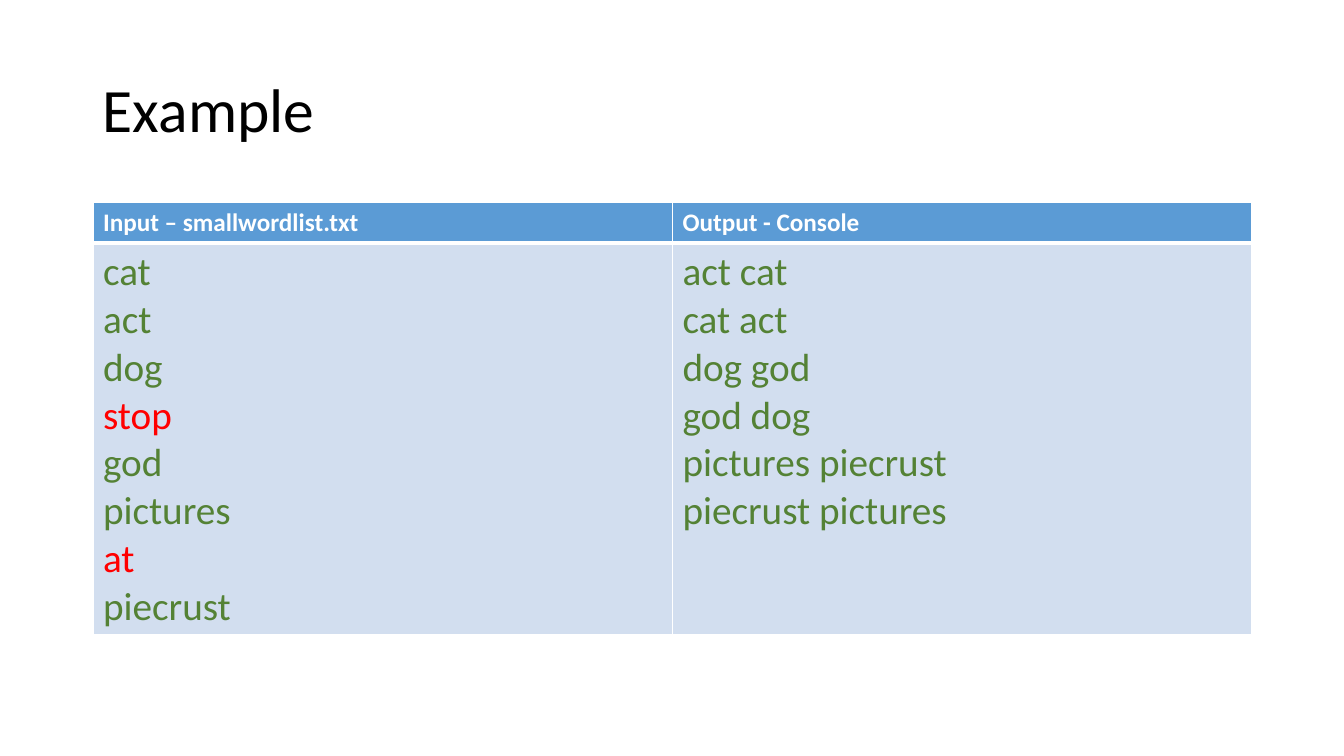
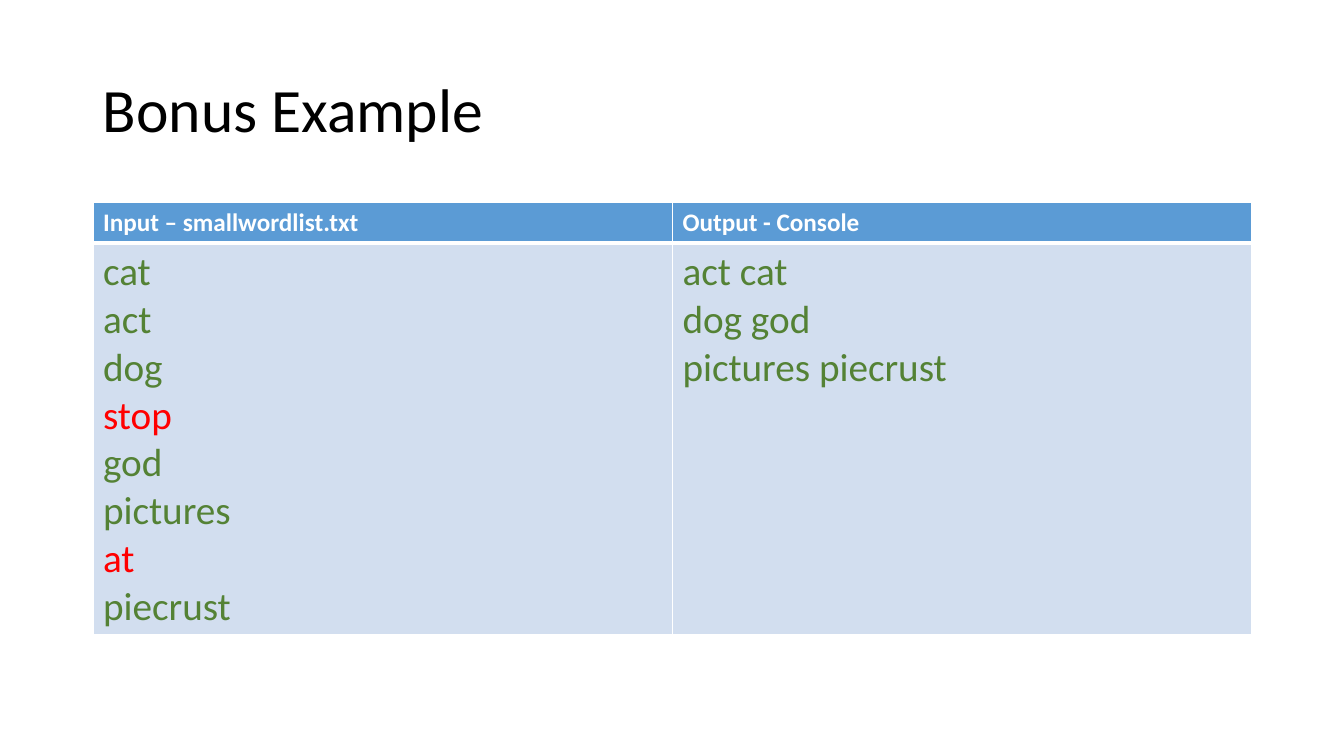
import pptx
import pptx.util
import pptx.dml.color
import pptx.enum.text
import pptx.oxml.ns
import lxml.etree

RGBColor = pptx.dml.color.RGBColor
BLACK = RGBColor(0x00, 0x00, 0x00)
WHITE = RGBColor(0xFF, 0xFF, 0xFF)
BLUE = RGBColor(0x5B, 0x9B, 0xD5)
PALE_BLUE = RGBColor(0xD2, 0xDE, 0xEF)
GREEN = RGBColor(0x54, 0x82, 0x35)
RED = RGBColor(0xFF, 0x00, 0x00)
FONT = "Calibri"

SLIDE_W, SLIDE_H = 1344, 756
TITLE_BOX = (93, 40, 1159, 146)
TABLE_BOX = (93, 202, 1159, 433)
HEADER_H = 41

HEADERS = ["Input – smallwordlist.txt", "Output - Console"]
WORDS = ["cat", "act", "dog", "stop", "god", "pictures", "at", "piecrust"]
UNMATCHED = {"stop", "at"}
EXAMPLES = [
    ("Example", ["act cat", "cat act", "dog god", "god dog",
                 "pictures piecrust", "piecrust pictures"]),
    ("Bonus Example", ["act cat", "dog god", "pictures piecrust"]),
]


def px(n):
    return pptx.util.Emu(round(n * 914400 / 100.8))


def style(p, size, color, bold=False):
    p.font.name = FONT
    p.font.size = pptx.util.Pt(size)
    p.font.color.rgb = color
    p.font.bold = bold


def add_title(s, box, text):
    tf = s.shapes.add_textbox(*map(px, box)).text_frame
    tf.word_wrap = True
    tf.vertical_anchor = pptx.enum.text.MSO_ANCHOR.MIDDLE
    p = tf.paragraphs[0]
    p.text = text
    p.line_spacing = 0.9
    style(p, 44, BLACK)


def set_borders(cell, widths):
    """Draw white borders; widths gives points for left, right, top, bottom."""
    qn = pptx.oxml.ns.qn
    tcPr = cell._tc.get_or_add_tcPr()
    for side, width in zip("LRTB", widths):
        ln = lxml.etree.SubElement(tcPr, qn("a:ln" + side), w=str(pptx.util.Pt(width)))
        fill = lxml.etree.SubElement(ln, qn("a:solidFill"))
        lxml.etree.SubElement(fill, qn("a:srgbClr"), val=str(WHITE))


def fill_cell(cell, lines, size, color, fill, borders, bold=False):
    set_borders(cell, borders)
    cell.fill.solid()
    cell.fill.fore_color.rgb = fill
    tf = cell.text_frame
    tf.text = "\n".join(lines)
    for p in tf.paragraphs:
        style(p, size, RED if p.text in UNMATCHED else color, bold)


def add_example_table(s, box, outputs):
    x, y, w, h = box
    table = s.shapes.add_table(2, 2, *map(px, box)).table
    table.rows[0].height = px(HEADER_H)
    table.rows[1].height = px(h - HEADER_H)
    for col, (header, lines) in enumerate(zip(HEADERS, [WORDS, outputs])):
        table.columns[col].width = px(w / 2)
        # Header row, with a thick rule below it
        fill_cell(table.cell(0, col), [header], 18, WHITE, BLUE, (1, 1, 1, 3), bold=True)
        # Word list
        fill_cell(table.cell(1, col), lines, 28, GREEN, PALE_BLUE, (1, 1, 3, 1))


def add_example_slide(prs, title, outputs):
    s = prs.slides.add_slide(prs.slide_layouts[6])
    add_title(s, TITLE_BOX, title)
    add_example_table(s, TABLE_BOX, outputs)


prs = pptx.Presentation()
prs.slide_width, prs.slide_height = px(SLIDE_W), px(SLIDE_H)
for title, outputs in EXAMPLES:
    add_example_slide(prs, title, outputs)
prs.save("out.pptx")
